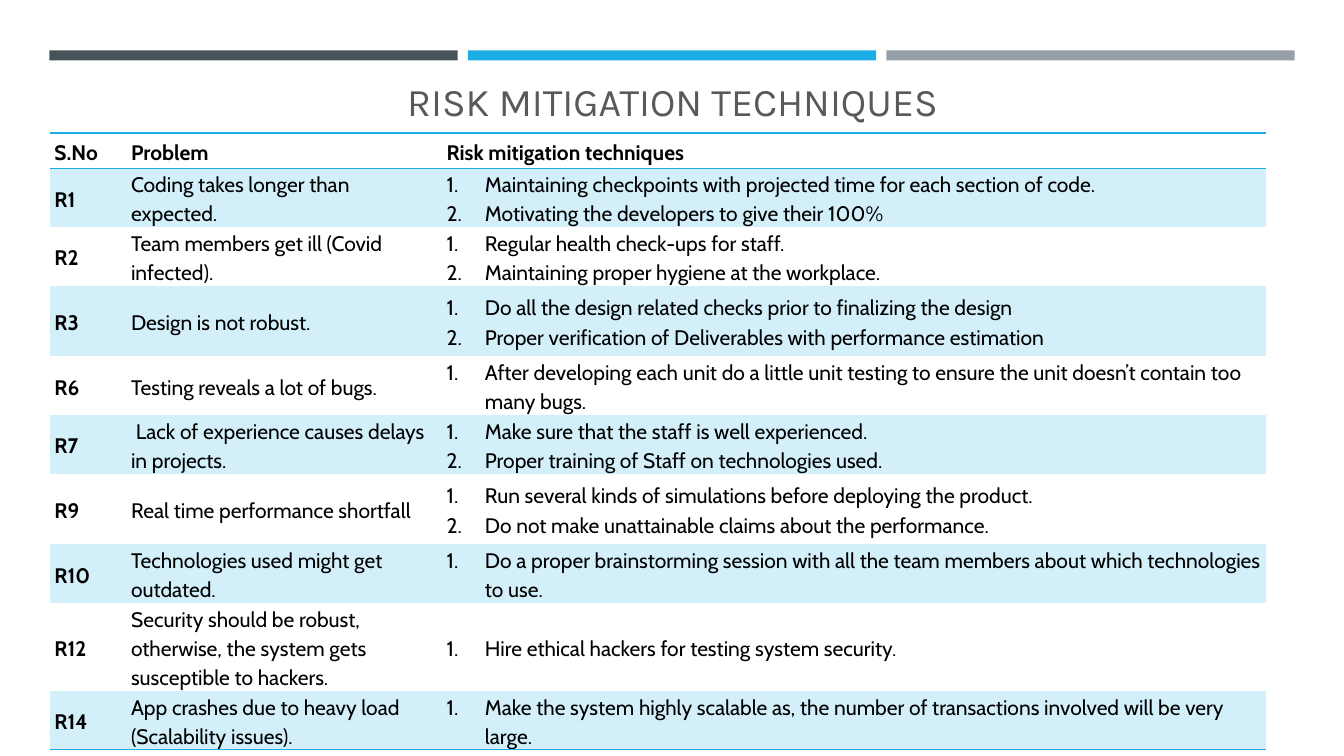
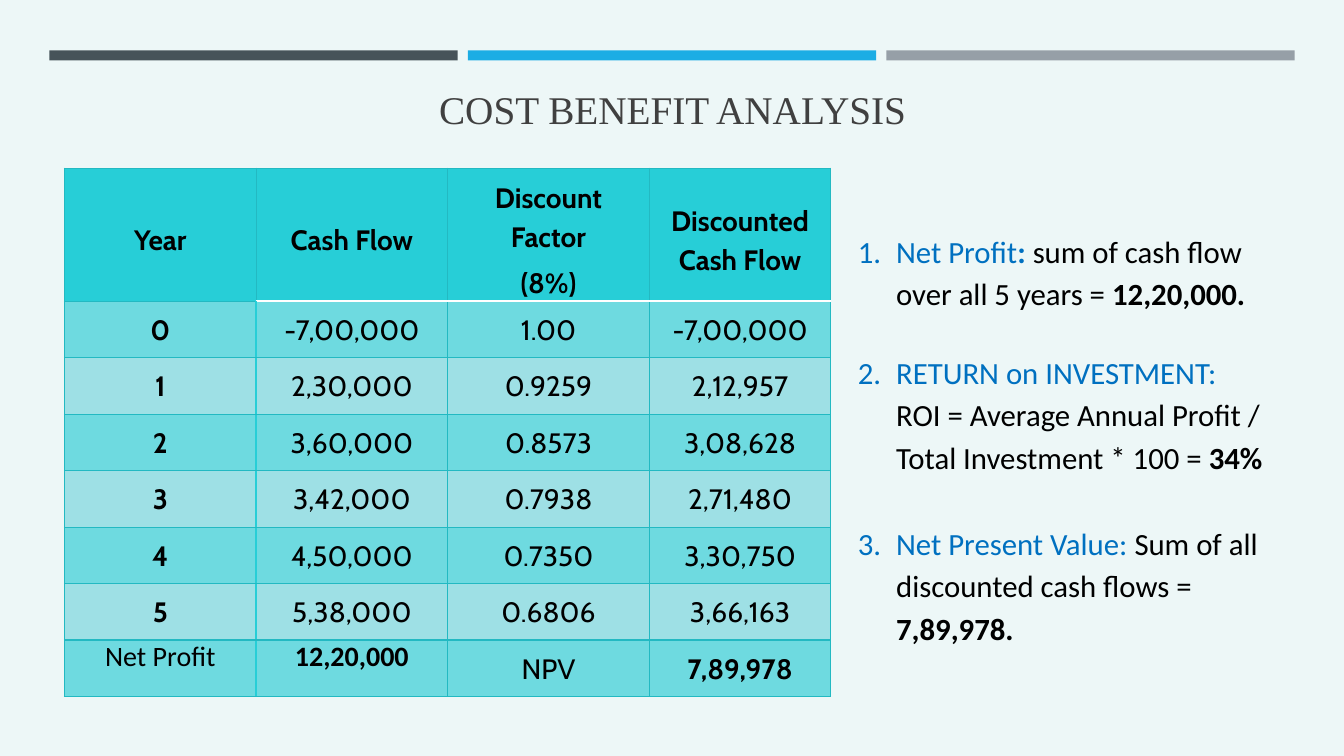
from pptx import Presentation
from pptx.dml.color import RGBColor
from pptx.enum.shapes import MSO_SHAPE
from pptx.enum.text import MSO_ANCHOR, PP_ALIGN
from pptx.oxml.ns import qn
from pptx.util import Inches, Pt
from lxml.etree import SubElement

# Shared colours
BLACK, WHITE = "000000", "FFFFFF"
SLATE, SKY, GREY = "465359", "1CADE4", "969FA7"
PALE_SKY, PALE_TEAL = "D2EFFA", "EDF7F7"
TEAL, TEAL_LINE = "27CED7", "23B9C2"
TEAL_DARK_ROW, TEAL_LIGHT_ROW = "6EDAE0", "9EE0E5"
LABEL_BLUE = "0070C0"

RISKS = [
    ("R1", "Coding takes longer than expected.",
     ["Maintaining checkpoints with projected time for each section of code.",
      "Motivating the developers to give their 100%"]),
    ("R2", "Team members get ill (Covid infected).",
     ["Regular health check-ups for staff.",
      "Maintaining proper hygiene at the workplace."]),
    ("R3", "Design is not robust.",
     ["Do all the design related checks prior to finalizing the design",
      "Proper verification of Deliverables with performance estimation"]),
    ("R6", "Testing reveals a lot of bugs.",
     ["After developing each unit do a little unit testing to ensure the unit "
      "doesn’t contain too many bugs."]),
    ("R7", " Lack of experience causes delays in projects.",
     ["Make sure that the staff is well experienced.",
      "Proper training of Staff on technologies used."]),
    ("R9", "Real time performance shortfall",
     ["Run several kinds of simulations before deploying the product.",
      "Do not make unattainable claims about the performance."]),
    ("R10", "Technologies used might get outdated.",
     ["Do a proper brainstorming session with all the team members about "
      "which technologies to use."]),
    ("R12", "Security should be robust, otherwise, the system gets "
            "susceptible to hackers.",
     ["Hire ethical hackers for testing system security."]),
    ("R14", "App crashes due to heavy load (Scalability issues).",
     ["Make the system highly scalable as, the number of transactions "
      "involved will be very large."]),
]
RISK_ROW_HEIGHTS = [0.35, 0.52, 0.52, 0.7, 0.55, 0.51, 0.7, 0.52, 0.77, 0.52]

CASH_FLOWS = [
    ("0", "-7,00,000", "1.00", "-7,00,000"),
    ("1", "2,30,000", "0.9259", "2,12,957"),
    ("2", "3,60,000", "0.8573", "3,08,628"),
    ("3", "3,42,000", "0.7938", "2,71,480"),
    ("4", "4,50,000", "0.7350", "3,30,750"),
    ("5", "5,38,000", "0.6806", "3,66,163"),
    ("Net Profit", "12,20,000", "NPV", "7,89,978"),
]

# Each run is (text, colour, bold); each item has its space before
MEASURES = [
    (0, [("Net Profit", LABEL_BLUE, False), (": ", LABEL_BLUE, True),
         ("sum of cash flow over all 5 years = ", BLACK, False),
         ("12,20,000.", BLACK, True)]),
    (26, [("RETURN on INVESTMENT:\n", LABEL_BLUE, False),
          ("ROI = Average Annual Profit / Total Investment * 100 = ",
           BLACK, False), ("34%", BLACK, True)]),
    (31, [("Net Present Value: ", LABEL_BLUE, False),
          ("Sum of all discounted cash flows = ", BLACK, False),
          ("7,89,978.", BLACK, True)]),
]


def color(value):
    return RGBColor.from_string(value)


class Deck:
    """Holds the style and the current slide."""

    def __init__(self):
        self.file = Presentation()
        self.file.slide_width = Inches(13.33)
        self.file.slide_height = Inches(7.5)
        self.page = None

    def add_page(self, background):
        self.page = self.file.slides.add_slide(self.file.slide_layouts[5])
        self.page.background.fill.solid()
        self.page.background.fill.fore_color.rgb = color(background)
        for index, fill in enumerate((SLATE, SKY, GREY)):
            band = self.page.shapes.add_shape(
                MSO_SHAPE.RECTANGLE, Inches(0.49 + 4.15 * index), Inches(0.5),
                Inches(4.05), Inches(0.1))
            band.shadow.inherit = False
            band.fill.solid()
            band.fill.fore_color.rgb = color(fill)
            band.line.fill.background()

    def title(self, text, top, height, font, ink):
        box = self.page.shapes.title
        box.left, box.top = Inches(0.64), Inches(top)
        box.width, box.height = Inches(12.06), Inches(height)
        box.text_frame.vertical_anchor = MSO_ANCHOR.MIDDLE
        para = box.text_frame.paragraphs[0]
        para.alignment = PP_ALIGN.CENTER
        para.line_spacing = 0.9
        self.span(para, text, font, 28, ink)

    def span(self, para, text, font, size, ink=BLACK, bold=False):
        for index, line in enumerate(text.split("\n")):
            if index:
                para.add_line_break()
            if line:
                run = para.add_run()
                run.text = line
                run.font.name, run.font.size = font, Pt(size)
                run.font.bold = bold
                run.font.color.rgb = color(ink)

    def paragraph(self, frame, index, spacing=1.15, before=0):
        para = frame.add_paragraph() if index else frame.paragraphs[0]
        para.line_spacing = spacing
        if index:
            para.space_before = Pt(before)
        return para

    def number(self, para):
        properties = para._p.get_or_add_pPr()
        properties.set("marL", str(Inches(0.38)))
        properties.set("indent", str(-Inches(0.38)))
        SubElement(properties, qn("a:buFont"), typeface="+mj-lt")
        SubElement(properties, qn("a:buAutoNum"), type="arabicPeriod")

    def table(self, left, top, widths, heights):
        table = self.page.shapes.add_table(
            len(heights), len(widths), Inches(left), Inches(top),
            Inches(sum(widths)), Inches(sum(heights))).table
        table.first_row = table.horz_banding = False
        for column, width in zip(table.columns, widths):
            column.width = Inches(width)
        for row, height in zip(table.rows, heights):
            row.height = Inches(height)
        return table

    def style_cell(self, cell, fill, borders, side, top=0.0,
                   anchor=MSO_ANCHOR.MIDDLE):
        """Borders map L, R, T, B to (colour, points); others are hidden."""
        cell.margin_left = cell.margin_right = Inches(side)
        cell.margin_top, cell.margin_bottom = Inches(top), 0
        cell.vertical_anchor = anchor
        properties = cell._tc.get_or_add_tcPr()
        for edge in "LRTB":
            ink, points = borders.get(edge, (None, 0))
            line = SubElement(properties, qn("a:ln" + edge), w=str(Pt(points)))
            if ink:
                solid = SubElement(line, qn("a:solidFill"))
                SubElement(solid, qn("a:srgbClr"), val=ink)
            else:
                SubElement(line, qn("a:noFill"))
        if fill:
            cell.fill.solid()
            cell.fill.fore_color.rgb = color(fill)
        else:
            cell.fill.background()

    def risk_table(self):
        table = self.table(0.5, 1.32, [0.76, 3.13, 8.17], RISK_ROW_HEIGHTS)
        rows = [("S.No", "Problem", ["Risk mitigation techniques"])] + RISKS
        rule = (SKY, 1)
        for r, (code, problem, techniques) in enumerate(rows):
            borders = {}
            if r == 0:
                borders = {"T": rule, "B": rule}
            elif r == 1:
                borders = {"T": rule}
            elif r == len(RISKS):
                borders = {"B": rule}
            for c, lines in enumerate(([code], [problem], techniques)):
                cell = table.cell(r, c)
                self.style_cell(cell, PALE_SKY if r % 2 else None, borders, 0.04)
                for index, line in enumerate(lines):
                    para = self.paragraph(cell.text_frame, index)
                    if r and c == 2:
                        self.number(para)
                    self.span(para, line, "Cabin", 15, bold=r == 0 or c == 0)

    def cash_table(self):
        header = ("Year", "Cash Flow", "Discount Factor\n(8%)",
                  "Discounted Cash Flow")
        rows = [header] + CASH_FLOWS
        last = len(CASH_FLOWS)
        table = self.table(0.64, 1.67, [1.9, 1.9, 2, 1.8], [1.32] + [0.56] * last)
        for r, row in enumerate(rows):
            for c, text in enumerate(row):
                cell = table.cell(r, c)
                borders = dict.fromkeys("LRTB", (TEAL_LINE, 1))
                # White rule under the header, thick rule beside the years
                if c and r < 2:
                    borders["B" if r == 0 else "T"] = (WHITE, 1.75)
                if r and c < 2:
                    borders["R" if c == 0 else "L"] = (TEAL, 1.75)
                profit = r == last and c < 2
                fill = TEAL_DARK_ROW if r % 2 else TEAL_LIGHT_ROW
                self.style_cell(
                    cell, fill if r else TEAL, borders, 0.07,
                    0 if profit else 0.07,
                    MSO_ANCHOR.TOP if r else MSO_ANCHOR.MIDDLE)
                bold = r == 0 or (c in (1, 3) if r == last else c == 0)
                for index, line in enumerate(text.split("\n")):
                    para = self.paragraph(
                        cell.text_frame, index, 1 if profit else 1.15, 5)
                    para.alignment = PP_ALIGN.CENTER
                    self.span(para, line, "Calibri" if profit else "Cabin", 20,
                              bold=bold)

    def measures(self):
        box = self.page.shapes.add_textbox(
            Inches(8.41), Inches(2.2), Inches(4.49), Inches(4.26))
        box.text_frame.word_wrap = True
        for index, (before, runs) in enumerate(MEASURES):
            para = self.paragraph(box.text_frame, index, before=before)
            self.number(para)
            for text, ink, bold in runs:
                self.span(para, text, "Calibri", 22, ink, bold)


def main():
    deck = Deck()

    # Risks and their mitigation
    deck.add_page(WHITE)
    deck.title("RISK MITIGATION TECHNIQUES", 0.64, 0.77, "Karla", "595959")
    deck.risk_table()

    # Costs and benefits
    deck.add_page(PALE_TEAL)
    deck.title("COST BENEFIT ANALYSIS", 0.77, 0.68, "Times New Roman", "404040")
    deck.cash_table()
    deck.measures()

    deck.file.save("out.pptx")


if __name__ == "__main__":
    main()
